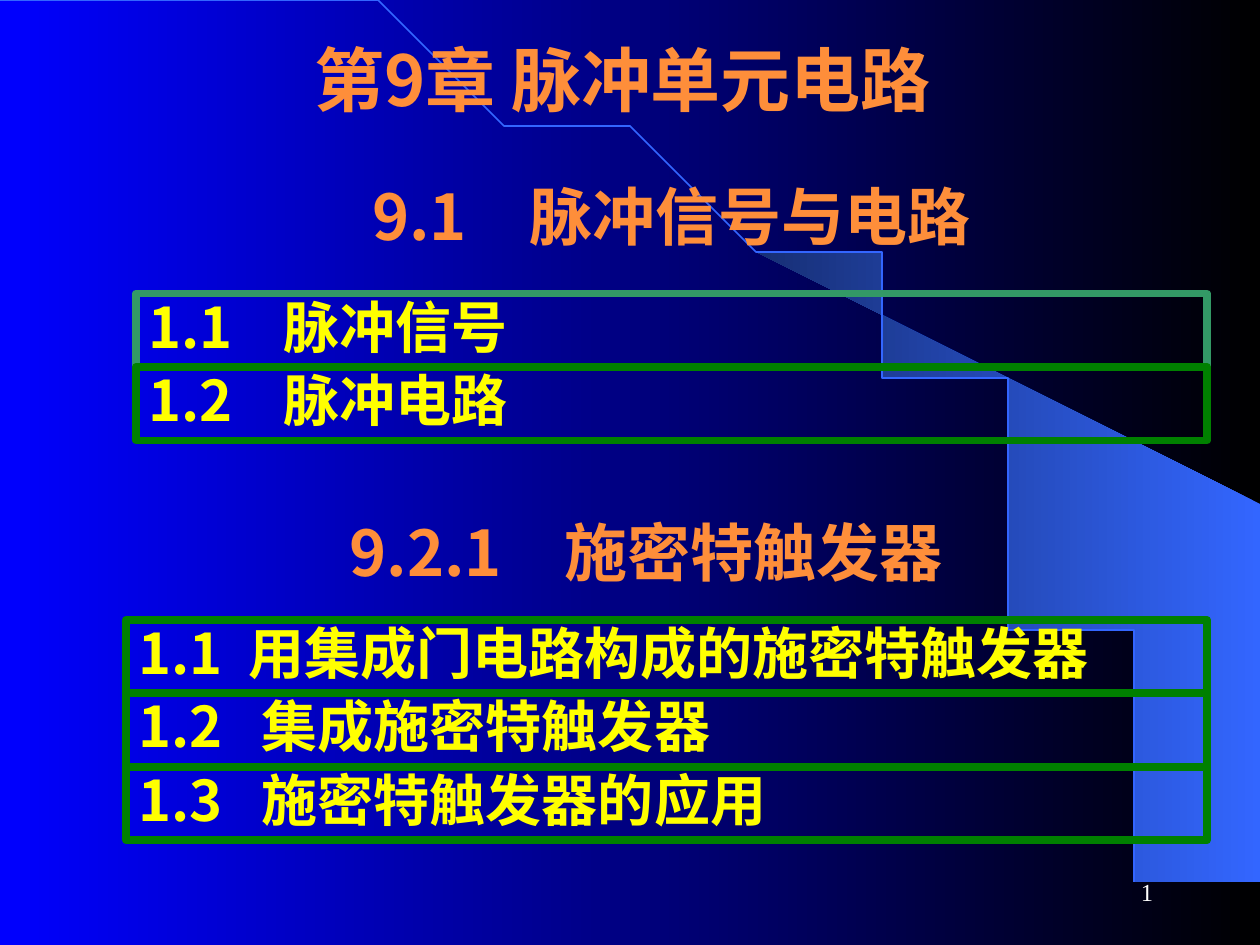
import math
from lxml import etree
from pptx import Presentation, util as u
from pptx.dml.color import RGBColor
from pptx.enum import shapes, text
from pptx.oxml import ns

COLORS = {
    "night": "000000", "blue": "0000FF", "arc": "3366FF", "arc_dark": "172F75",
    "heading": "FE8E3A", "item": "FFFF00", "frame": "008000",
    "frame_first": "339966", "number": "FFFFFF",
}
CJK, LATIN = "Noto Sans CJK SC", "Times New Roman"
WIDTH, HEIGHT = 10, 7.5
ARC_X, ARC_Y = 9.2, 7.49
ROW = 7 / 12

TITLE = ("第9章 脉冲单元电路", (0.75, 0.25, 8.5, 0.75), 40, 0.22)
HEADINGS = [
    ("9.1　脉冲信号与电路", (1.08, 1.33, 8.5, 0.75), 36, 0.1),
    ("9.2.1　施密特触发器", (1, 4, 8.5, 0.75), 36, 0.34),
]
GROUPS = [
    {"at": (1.08, 2.33), "width": 8.5, "font": CJK, "items": [
        ("1.1", "脉冲信号", 1.07, "frame_first"),
        ("1.2", "脉冲电路", 1.07, "frame"),
    ]},
    {"at": (1, 4.92), "width": 8.58, "font": LATIN, "items": [
        ("1.1", "用集成门电路构成的施密特触发器", 0.87, "frame"),
        ("1.2", "集成施密特触发器", 0.98, "frame"),
        ("1.3", "施密特触发器的应用", 0.98, "frame"),
    ]},
]


def rgb(name):
    return RGBColor.from_string(COLORS[name])


def set_gradient(fill, right, left):
    fill.gradient()
    fill.gradient_angle = 180
    for stop, name, position in zip(fill.gradient_stops, (right, left), (0, 1)):
        stop.color.rgb = rgb(name)
        stop.position = position


def format_run(r, size, color, font=CJK, bold=True):
    r.font.size, r.font.bold, r.font.name = u.Pt(size), bold, font
    r.font.color.rgb = rgb(color)
    etree.SubElement(r._r.get_or_add_rPr(), ns.qn("a:ea"), typeface=CJK)


def place(sp, box):
    sp.left, sp.top, sp.width, sp.height = map(u.Inches, box)


def fill_heading(sp, content, box, size, right_inset):
    place(sp, box)
    tf = sp.text_frame
    tf.text = content
    tf.word_wrap = True
    tf.auto_size = text.MSO_AUTO_SIZE.NONE
    tf.vertical_anchor = text.MSO_ANCHOR.MIDDLE
    tf.margin_right = u.Inches(right_inset)
    p = tf.paragraphs[0]
    p.alignment = text.PP_ALIGN.CENTER
    format_run(p.runs[0], size, "heading")


def arc_points(start, steps=60):
    angles = [start + (math.pi / 2 - start) * i / steps for i in range(steps + 1)]
    return [(ARC_X * math.sin(a), ARC_Y * (1 - math.cos(a))) for a in angles]


def add_outline(s, points, closed):
    builder = s.shapes.build_freeform(*points[0], scale=u.Inches(1))
    builder.add_line_segments(points[1:], close=closed)
    sp = builder.convert_to_shape()
    sp.shadow.inherit = False
    return sp


def add_backdrop(s):
    set_gradient(s.background.fill, "night", "blue")
    wedge = add_outline(s, arc_points(math.asin(0.64)) + [(9.99, 7.49), (9.99, 4.23)], True)
    set_gradient(wedge.fill, "arc", "arc_dark")
    wedge.line.fill.background()
    arc = add_outline(s, arc_points(0), False)
    arc.fill.background()
    arc.line.color.rgb = rgb("arc")
    arc.line.width = u.Pt(1)


def add_item(s, box, font, number, label, indent, frame):
    sp = s.shapes.add_shape(shapes.MSO_SHAPE.RECTANGLE, *map(u.Inches, box))
    sp.shadow.inherit = False
    sp.fill.background()
    sp.line.color.rgb = rgb(frame)
    sp.line.width = u.Pt(4.5)
    tf = sp.text_frame
    tf.vertical_anchor = text.MSO_ANCHOR.TOP
    p = tf.paragraphs[0]
    p.alignment = text.PP_ALIGN.JUSTIFY
    p.line_spacing, p.space_before = 0.9, u.Pt(8)
    pPr = p._p.get_or_add_pPr()
    pPr.set("marL", str(u.Inches(indent)))
    pPr.set("indent", str(-u.Inches(indent)))
    for content, face in ((number + "\t", CJK), (label, font)):
        r = p.add_run()
        r.text = content
        format_run(r, 32, "item", face)


def add_page_number(s):
    sp = s.shapes.add_textbox(*map(u.Inches, (7.17, 6.83, 2.08, 0.5)))
    tf = sp.text_frame
    tf.text = "1"
    tf.word_wrap = True
    tf.vertical_anchor = text.MSO_ANCHOR.MIDDLE
    p = tf.paragraphs[0]
    p.alignment = text.PP_ALIGN.RIGHT
    format_run(p.runs[0], 14, "number", LATIN, False)


def main():
    prs = Presentation()
    prs.slide_width, prs.slide_height = u.Inches(WIDTH), u.Inches(HEIGHT)
    s = prs.slides.add_slide(prs.slide_layouts[5])
    add_backdrop(s)
    title = s.shapes.title
    s.shapes._spTree.append(title._element)
    fill_heading(title, *TITLE)
    for heading in HEADINGS:
        fill_heading(s.shapes.add_textbox(0, 0, 0, 0), *heading)
    for group in GROUPS:
        left, top = group["at"]
        for i, item in enumerate(group["items"]):
            box = (left, top + i * ROW, group["width"], ROW)
            add_item(s, box, group["font"], *item)
    add_page_number(s)
    prs.save("out.pptx")


if __name__ == "__main__":
    main()
